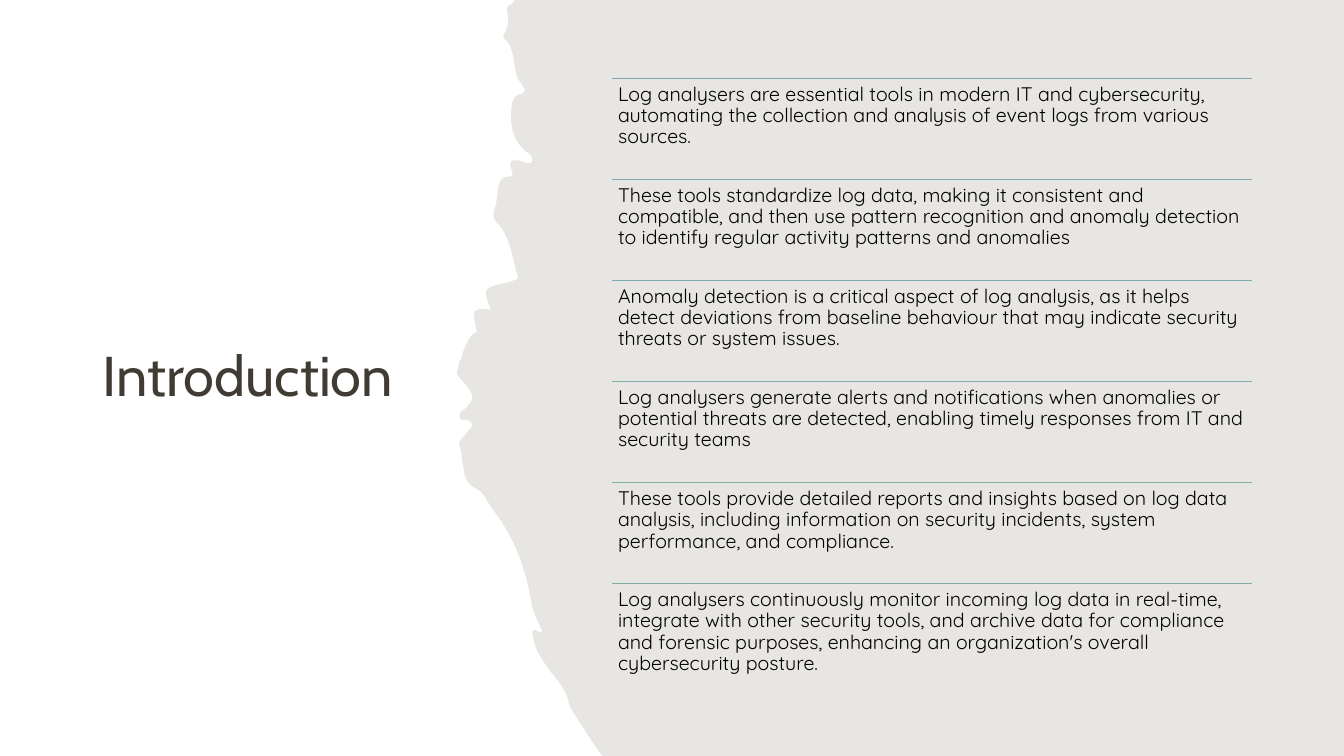
"""Build the introduction slide: a title beside a torn panel with six ruled points."""
import pptx
import pptx.dml.color
import pptx.enum.shapes
import pptx.enum.text
import pptx.oxml.ns
import pptx.util
from lxml import etree

RGB = pptx.dml.color.RGBColor
ANCHOR = pptx.enum.text.MSO_ANCHOR

WHITE = RGB(0xFF, 0xFF, 0xFF)
SAND = RGB(0xE8, 0xE6, 0xE2)
BROWN = RGB(0x40, 0x3B, 0x33)
BLACK = RGB(0x00, 0x00, 0x00)
BLUE = RGB(0x7F, 0xA7, 0xBA)
STEEL = RGB(0x80, 0xAA, 0xB7)
MIST = RGB(0x80, 0xAC, 0xB5)
TEAL = RGB(0x81, 0xAE, 0xB2)
JADE = RGB(0x81, 0xAF, 0xAE)
SAGE = RGB(0x82, 0xAC, 0xA8)

WIDE, HIGH = 13.33, 7.5

TITLE_BOX = (0.069, 0.104, 0.2626, 0.792)
LIST_LEFT, LIST_TOP = 0.4554, 0.104
LIST_WIDTH, ROW_HEIGHT = 0.4764, 0.1336

POINTS = [
    (BLUE, "Log analysers are essential tools in modern IT and cybersecurity, "
     "automating the collection and analysis of event logs from various sources."),
    (STEEL, "These tools standardize log data, making it consistent and compatible, "
     "and then use pattern recognition and anomaly detection to identify regular "
     "activity patterns and anomalies"),
    (MIST, "Anomaly detection is a critical aspect of log analysis, as it helps detect "
     "deviations from baseline behaviour that may indicate security threats or system issues."),
    (TEAL, "Log analysers generate alerts and notifications when anomalies or potential "
     "threats are detected, enabling timely responses from IT and security teams"),
    (JADE, "These tools provide detailed reports and insights based on log data analysis, "
     "including information on security incidents, system performance, and compliance."),
    (SAGE, "Log analysers continuously monitor incoming log data in real-time, integrate "
     "with other security tools, and archive data for compliance and forensic purposes, "
     "enhancing an organization's overall cybersecurity posture."),
]

FOOT = [
    (5.98, 7.5), (5.95, 7.47), (5.76, 7.19, 5.65, 7.01, 5.65, 7),
    (5.62, 6.84, 5.53, 6.75, 5.45, 6.65), (5.39, 6.56, 5.31, 6.46, 5.29, 6.33),
    (5.25, 6.16, 5.36, 6.32, 5.38, 6.26), (5.34, 6.17, 5.28, 6.07, 5.27, 5.97),
    (5.21, 5.61, 5.09, 5.32, 4.9, 5.07), (4.84, 5, 4.81, 4.89, 4.73, 4.85),
]
WAIST = [
    (4.69, 4.83, 4.66, 4.81, 4.64, 4.78), (4.61, 4.72), (4.58, 4.54),
    (4.58, 4.5, 4.57, 4.45, 4.56, 4.42), (4.55, 4.39), (4.69, 4.22),
    (4.65, 4.13, 4.6, 4.19, 4.56, 4.15), (4.56, 4.11), (4.57, 4.09), (4.62, 4.05),
    (4.72, 3.94, 4.71, 3.92, 4.57, 3.76), (4.53, 3.71), (4.56, 3.58),
    (4.58, 3.56, 4.59, 3.54, 4.59, 3.5), (4.64, 3.37, 4.68, 3.3, 4.73, 3.3),
]
CHEST = [
    (4.68, 3.06, 4.68, 3.06, 4.87, 3.07), (4.8, 2.9, 4.8, 2.87, 4.89, 2.84),
    (4.97, 2.81, 5.06, 2.81, 5.14, 2.76), (5.08, 2.55, 5.06, 2.33, 4.92, 2.2),
    (4.9, 2.18, 4.89, 2.12, 4.9, 2.09), (4.96, 1.98, 4.89, 1.74, 5.06, 1.75),
    (5.08, 1.75, 5.09, 1.74, 5.08, 1.7), (5.03, 1.57, 5.09, 1.6, 5.13, 1.59),
    (5.18, 1.59, 5.24, 1.65, 5.28, 1.6),
]
HEAD = [
    (5.28, 1.53, 5.24, 1.52, 5.21, 1.5), (5.13, 1.42, 5.07, 1.33, 5.07, 1.18),
    (5.07, 1.05, 5.07, 0.94, 5.18, 0.93), (5.19, 0.93, 5.2, 0.91, 5.21, 0.89),
    (5.2, 0.87, 5.18, 0.85, 5.17, 0.83), (5.12, 0.77, 5.11, 0.69, 5.1, 0.61),
    (5.09, 0.56, 5.08, 0.51, 5.06, 0.46), (5.05, 0.43, 5.03, 0.41, 5.01, 0.39),
    (4.99, 0.38, 4.99, 0.36, 5, 0.34), (5.04, 0.28, 5.05, 0.21, 5.03, 0.11),
    (5.03, 0.08, 5.03, 0.06, 5.05, 0.05), (5.07, 0.05, 5.08, 0.04, 5.09, 0.02),
    (5.11, 0),
]
TEAR = FOOT + WAIST + CHEST + HEAD


def frame_of(left, top, width, height):
    return (pptx.util.Inches(left * WIDE), pptx.util.Inches(top * HIGH),
            pptx.util.Inches(width * WIDE), pptx.util.Inches(height * HIGH))


def bend(start, curve, cuts=8):
    knots = [start, curve[:2], curve[2:4], curve[4:]]
    for cut in range(1, cuts + 1):
        t = cut / cuts
        u = 1 - t
        pulls = (u ** 3, 3 * u * u * t, 3 * u * t * t, t ** 3)
        yield tuple(sum(pull * value for pull, value in zip(pulls, axis))
                    for axis in zip(*knots))


def trace(steps):
    spots = []
    for step in steps:
        is_line = len(step) == 2
        spots.extend([step] if is_line else bend(spots[-1], step))
    return spots


def add_panel(slide, tear, color):
    edge = trace(tear) + [(WIDE, 0), (WIDE, HIGH)]
    spots = [(pptx.util.Inches(x), pptx.util.Inches(y)) for x, y in edge]
    pen = slide.shapes.build_freeform(*spots[0])
    pen.add_line_segments(spots[1:], close=True)
    panel = pen.convert_to_shape()
    panel.shadow.inherit = False
    panel.fill.solid()
    panel.fill.fore_color.rgb = color
    panel.line.fill.background()


def add_rule(slide, left, top, width, color):
    x, y, length, _ = frame_of(left, top, width, 0)
    kind = pptx.enum.shapes.MSO_CONNECTOR.STRAIGHT
    rule = slide.shapes.add_connector(kind, x, y, x + length, y)
    rule.line.color.rgb = color
    rule.line.width = pptx.util.Pt(1)
    etree.SubElement(rule._element.spPr, pptx.oxml.ns.qn("a:effectLst"))


def write(shape, text, font, size, color, anchor, inset):
    frame = shape.text_frame
    frame.word_wrap = True
    frame.auto_size = pptx.enum.text.MSO_AUTO_SIZE.NONE
    frame.vertical_anchor = anchor
    for side in ("left", "top", "right", "bottom"):
        setattr(frame, f"margin_{side}", pptx.util.Inches(inset))
    line = frame.paragraphs[0]
    line.alignment = pptx.enum.text.PP_ALIGN.LEFT
    line.line_spacing = 0.9
    run = line.add_run()
    run.text = text
    run.font.name = font
    run.font.size = pptx.util.Pt(size)
    run.font.color.rgb = color


def add_title(slide, text):
    title = slide.shapes.title
    title.left, title.top, title.width, title.height = frame_of(*TITLE_BOX)
    write(title, text, font="Cabin", size=40, color=BROWN,
          anchor=ANCHOR.MIDDLE, inset=0.1)


def add_point(slide, row, text, color):
    top = LIST_TOP + row * ROW_HEIGHT
    add_rule(slide, LIST_LEFT, top, LIST_WIDTH, color)
    box = slide.shapes.add_textbox(*frame_of(LIST_LEFT, top, LIST_WIDTH, ROW_HEIGHT))
    write(box, text, font="Quicksand", size=14, color=BLACK,
          anchor=ANCHOR.TOP, inset=0.06)


def main():
    deck = pptx.Presentation()
    deck.slide_width = pptx.util.Inches(WIDE)
    deck.slide_height = pptx.util.Inches(HIGH)
    title_only = deck.slide_layouts[5]
    slide = deck.slides.add_slide(title_only)
    slide.background.fill.solid()
    slide.background.fill.fore_color.rgb = WHITE

    add_title(slide, "Introduction")
    add_panel(slide, TEAR, SAND)
    for row, (color, text) in enumerate(POINTS):
        add_point(slide, row, text, color)
    deck.save("out.pptx")


if __name__ == "__main__":
    main()
